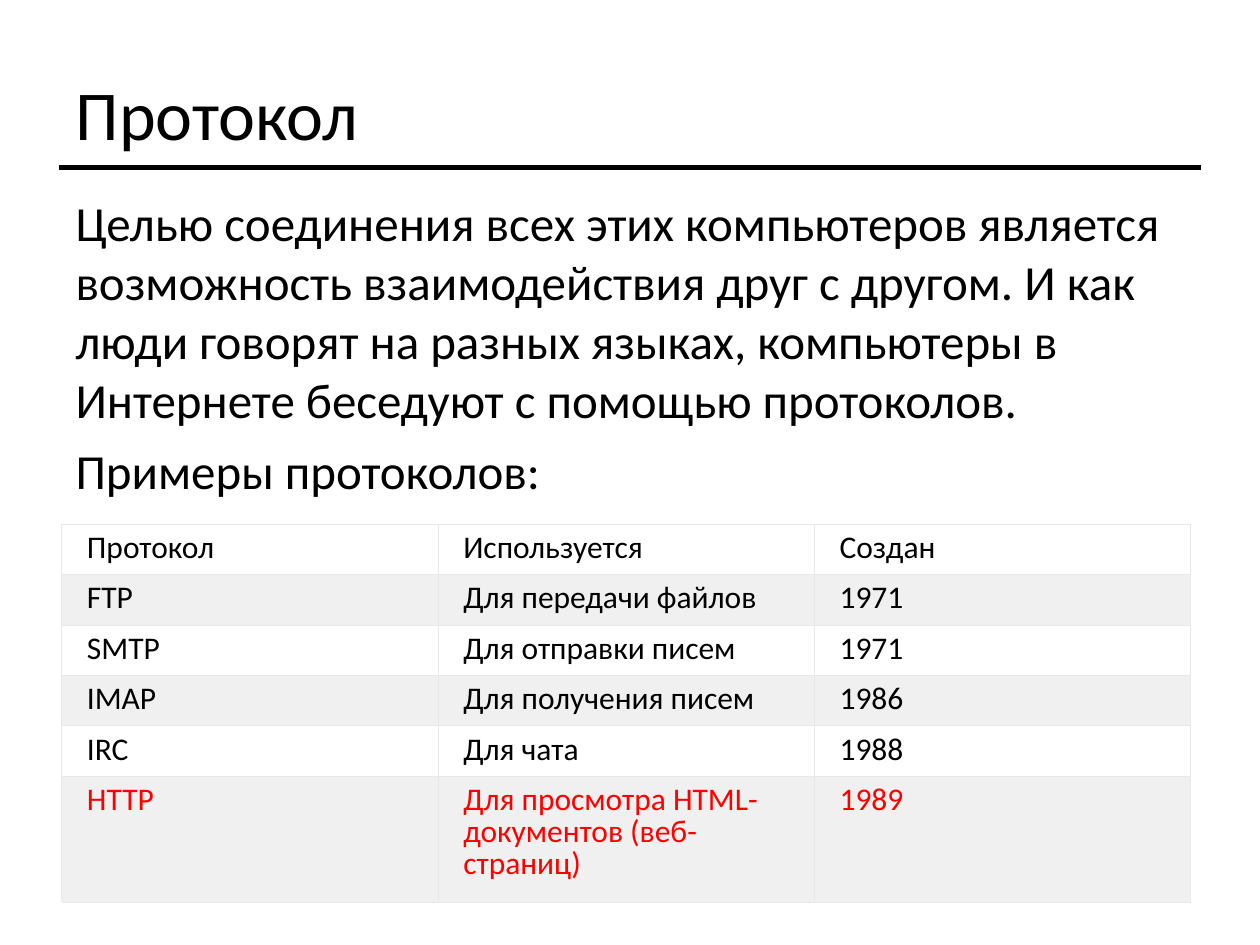
from lxml import etree
from pptx import Presentation
from pptx.dml.color import RGBColor
from pptx.enum.shapes import MSO_CONNECTOR
from pptx.enum.text import MSO_ANCHOR, MSO_AUTO_SIZE, PP_ALIGN
from pptx.oxml.ns import qn
from pptx.util import Inches, Pt

STRAIGHT = MSO_CONNECTOR.STRAIGHT
TOP = MSO_ANCHOR.TOP
NO_AUTOFIT = MSO_AUTO_SIZE.NONE
LEFT = PP_ALIGN.LEFT

COLORS = {"text": "000000", "accent": "FF0000", "band": "F0F0F0",
          "plain": "FFFFFF", "border": "E9E8E8"}

BODY = [
    "Целью соединения всех этих компьютеров является возможность "
    "взаимодействия друг с другом. И как люди говорят на разных языках, "
    "компьютеры в Интернете беседуют с помощью протоколов.",
    "Примеры протоколов:",
]
PROTOCOLS = [
    ("Протокол", "Используется", "Создан"),
    ("FTP", "Для передачи файлов", "1971"),
    ("SMTP", "Для отправки писем", "1971"),
    ("IMAP", "Для получения писем", "1986"),
    ("IRC", "Для чата", "1988"),
    ("HTTP", "Для просмотра HTML-документов (веб-страниц)", "1989"),
]
ROW_HEIGHTS = [0.4] * 5 + [1]


class SlideBuilder:
    """Holds the text style and the slide being built."""

    font_name = "Calibri"

    def __init__(self, slide):
        self.slide = slide

    def color(self, name):
        return RGBColor.from_string(COLORS[name])

    def style(self, paragraph, size, color="text"):
        paragraph.alignment = LEFT
        paragraph.font.name = self.font_name
        paragraph.font.size = Pt(size)
        paragraph.font.color.rgb = self.color(color)

    def set_frame(self, frame):
        frame.word_wrap = True
        frame.auto_size = NO_AUTOFIT
        frame.vertical_anchor = TOP
        frame.margin_left = frame.margin_right = frame.margin_bottom = 0
        frame.margin_top = Inches(0.02)

    def title(self, text, left, top, width, height):
        shape = self.slide.shapes.title
        shape.left, shape.top = Inches(left), Inches(top)
        shape.width, shape.height = Inches(width), Inches(height)
        shape.text_frame.text = text
        self.set_frame(shape.text_frame)
        self.style(shape.text_frame.paragraphs[0], 40)

    def text(self, lines, left, top, width, height):
        shape = self.slide.shapes.add_textbox(
            Inches(left), Inches(top), Inches(width), Inches(height))
        frame = shape.text_frame
        self.set_frame(frame)
        frame.text = "\n".join(lines)
        for index, paragraph in enumerate(frame.paragraphs):
            self.style(paragraph, 28)
            paragraph.space_before = Pt(6.8 if index else 0)

    def rule(self, left, right, y):
        line = self.slide.shapes.add_connector(
            STRAIGHT, Inches(left), Inches(y), Inches(right), Inches(y))
        line.line.color.rgb = self.color("text")
        line.line.width = Pt(3)
        properties = line._element.spPr
        etree.SubElement(properties, qn("a:effectLst"))

    def cell_borders(self, cell):
        properties = cell._tc.get_or_add_tcPr()
        for position, side in enumerate(("a:lnL", "a:lnR", "a:lnT", "a:lnB")):
            border = etree.Element(qn(side), w=str(Pt(0.34)))
            fill = etree.SubElement(border, qn("a:solidFill"))
            etree.SubElement(fill, qn("a:srgbClr"), val=COLORS["border"])
            properties.insert(position, border)

    def table(self, rows, row_heights, left, top, width):
        table = self.slide.shapes.add_table(
            len(rows), len(rows[0]), Inches(left), Inches(top),
            Inches(width), Inches(sum(row_heights))).table
        for row, height in zip(table.rows, row_heights):
            row.height = Inches(height)
        for row_index, values in enumerate(rows):
            is_last = row_index == len(rows) - 1
            for column_index, value in enumerate(values):
                cell = table.cell(row_index, column_index)
                cell.text = value
                cell.margin_left = Inches(0.2)
                cell.margin_top = Inches(0.07)
                cell.fill.solid()
                cell.fill.fore_color.rgb = self.color(
                    "band" if row_index % 2 else "plain")
                self.cell_borders(cell)
                paragraph = cell.text_frame.paragraphs[0]
                paragraph.line_spacing = 0.83
                self.style(paragraph, 18, "accent" if is_last else "text")


def main():
    presentation = Presentation()
    presentation.slide_width = Inches(10)
    presentation.slide_height = Inches(7.5)
    title_only = presentation.slide_layouts[5]
    builder = SlideBuilder(presentation.slides.add_slide(title_only))

    builder.rule(0.47, 9.53, 1.33)
    builder.title("Протокол", 0.6, 0.54, 2.27, 1.27)
    builder.text(BODY, 0.6, 1.51, 8.63, 2.91)
    builder.table(PROTOCOLS, ROW_HEIGHTS, 0.49, 4.16, 8.96)

    presentation.save("out.pptx")


if __name__ == "__main__":
    main()
